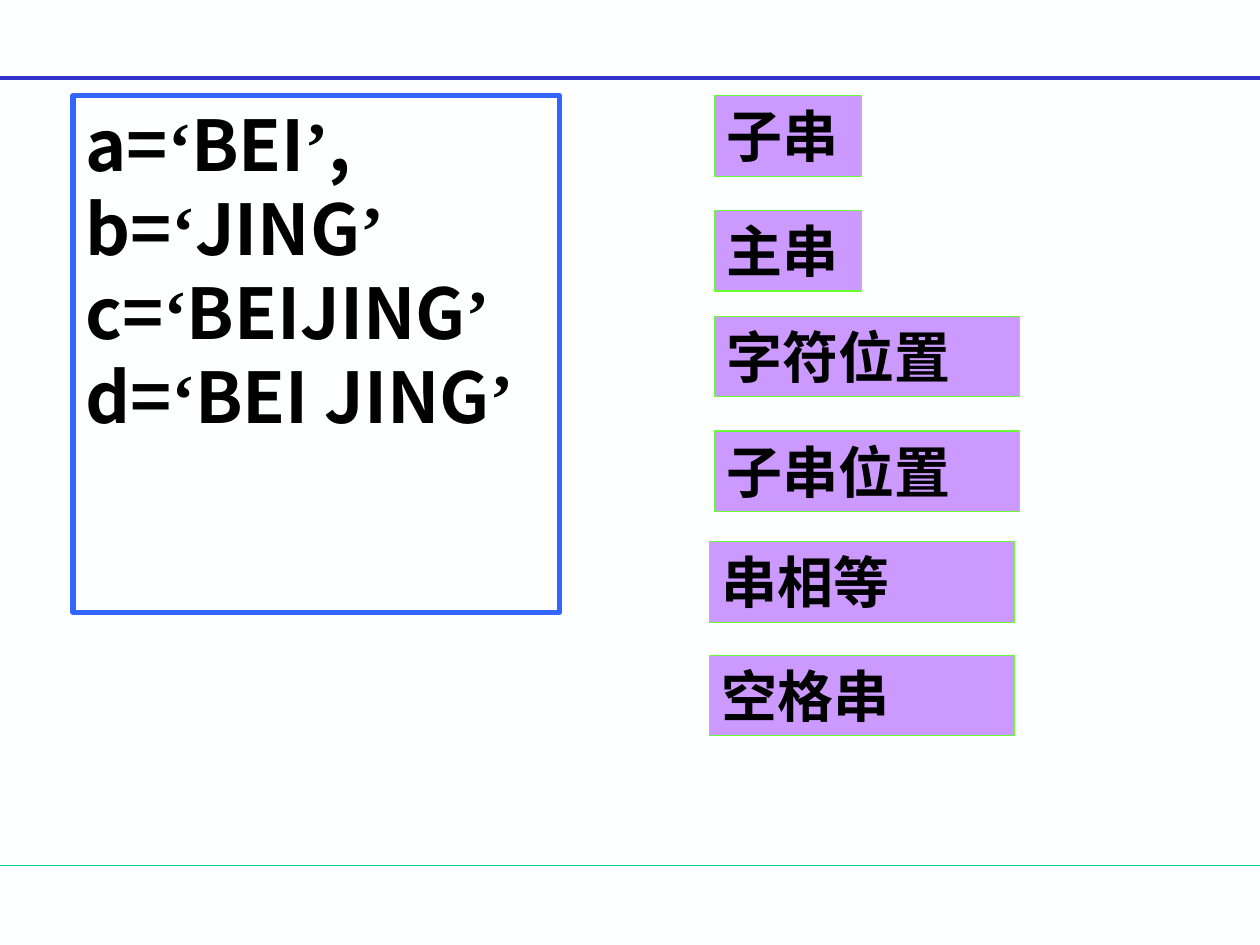
from pptx import Presentation
from pptx.dml.color import RGBColor
from pptx.enum.shapes import MSO_CONNECTOR, MSO_SHAPE
from pptx.enum.text import MSO_ANCHOR, PP_ALIGN
from pptx.oxml.ns import qn
from pptx.util import Inches, Pt

BACKGROUND = RGBColor(0xFE, 0xFF, 0xFF)
BLACK = RGBColor(0x00, 0x00, 0x00)
RULE_BLUE = RGBColor(0x33, 0x33, 0xCC)
RULE_GREEN = RGBColor(0x00, 0xCC, 0x99)
FRAME_BLUE = RGBColor(0x33, 0x66, 0xFF)
TERM_FILL = RGBColor(0xCC, 0x99, 0xFF)
TERM_LINE = RGBColor(0x66, 0xFF, 0x33)

MAIN_FONT = "Noto Sans CJK SC"
QUOTE_FONT = "Times New Roman"

# Variable, string value and what follows the closing quote
STRINGS = [("a=", "BEI", ","), ("b=", "JING", ""),
           ("c=", "BEIJING", ""), ("d=", "BEI JING", "")]

# Term, left, top and width
TERMS = [
    ("子串", 5.67, 0.76, 1.17),
    ("主串", 5.67, 1.67, 1.17),
    ("字符位置", 5.67, 2.51, 2.42),
    ("子串位置", 5.67, 3.42, 2.42),
    ("串相等", 5.63, 4.3, 2.42),
    ("空格串", 5.63, 5.2, 2.42),
]
TERM_HEIGHT = 0.64


def add_rule(slide, top, color, weight):
    """Draw a line across the whole slide."""
    rule = slide.shapes.add_connector(
        MSO_CONNECTOR.STRAIGHT, Inches(0), Inches(top), Inches(10), Inches(top))
    rule.line.color.rgb = color
    rule.line.width = Pt(weight)
    rule._element.spPr.add_effectLst() if hasattr(
        rule._element.spPr, "add_effectLst") else rule._element.spPr.append(
        rule._element.spPr.makeelement(qn("a:effectLst"), {}))


def add_run(paragraph, text, font_name, size):
    run = paragraph.add_run()
    run.text = text
    font = run.font
    font.size = Pt(size)
    font.bold = True
    font.color.rgb = BLACK
    font.name = font_name
    # East Asian text takes its own typeface element
    properties = run._r.get_or_add_rPr()
    properties.append(properties.makeelement(qn("a:ea"), {"typeface": font_name}))


def add_box(slide, box, lines, size, line_color, weight, fill=None):
    """Draw a rectangle; each line is a list of (text, font name) pairs."""
    shape = slide.shapes.add_shape(
        MSO_SHAPE.RECTANGLE, *(Inches(length) for length in box))
    shape.shadow.inherit = False
    shape.line.color.rgb = line_color
    shape.line.width = Pt(weight)
    if fill is None:
        shape.fill.background()
    else:
        shape.fill.solid()
        shape.fill.fore_color.rgb = fill

    frame = shape.text_frame
    frame.word_wrap = True
    frame.vertical_anchor = MSO_ANCHOR.TOP
    for index, line in enumerate(lines):
        paragraph = frame.add_paragraph() if index else frame.paragraphs[0]
        paragraph.alignment = PP_ALIGN.LEFT
        paragraph.line_spacing = Pt(size * 1.2)
        for text, font_name in line:
            add_run(paragraph, text, font_name, size)


def add_strings(slide, box):
    lines = []
    for variable, value, ending in STRINGS:
        line = [(variable, MAIN_FONT), ("‘", QUOTE_FONT),
                (value, MAIN_FONT), ("’", QUOTE_FONT)]
        if ending:
            line.append((ending, MAIN_FONT))
        lines.append(line)
    add_box(slide, box, lines, 40, FRAME_BLUE, 3)


def add_term(slide, box, term):
    add_box(slide, box, [[(term, MAIN_FONT)]], 32, TERM_LINE, 0.75, TERM_FILL)


def main():
    presentation = Presentation()
    presentation.slide_width = Inches(10)
    presentation.slide_height = Inches(7.5)
    slide = presentation.slides.add_slide(presentation.slide_layouts[6])
    slide.background.fill.solid()
    slide.background.fill.fore_color.rgb = BACKGROUND

    # Rules at the foot and head
    add_rule(slide, 6.87, RULE_GREEN, 0.75)
    add_rule(slide, 0.62, RULE_BLUE, 2.25)

    # Example strings on the left, terms on the right
    add_strings(slide, (0.58, 0.76, 3.86, 4.1))
    for term, left, top, width in TERMS:
        add_term(slide, (left, top, width, TERM_HEIGHT), term)

    presentation.save("out.pptx")


if __name__ == "__main__":
    main()
